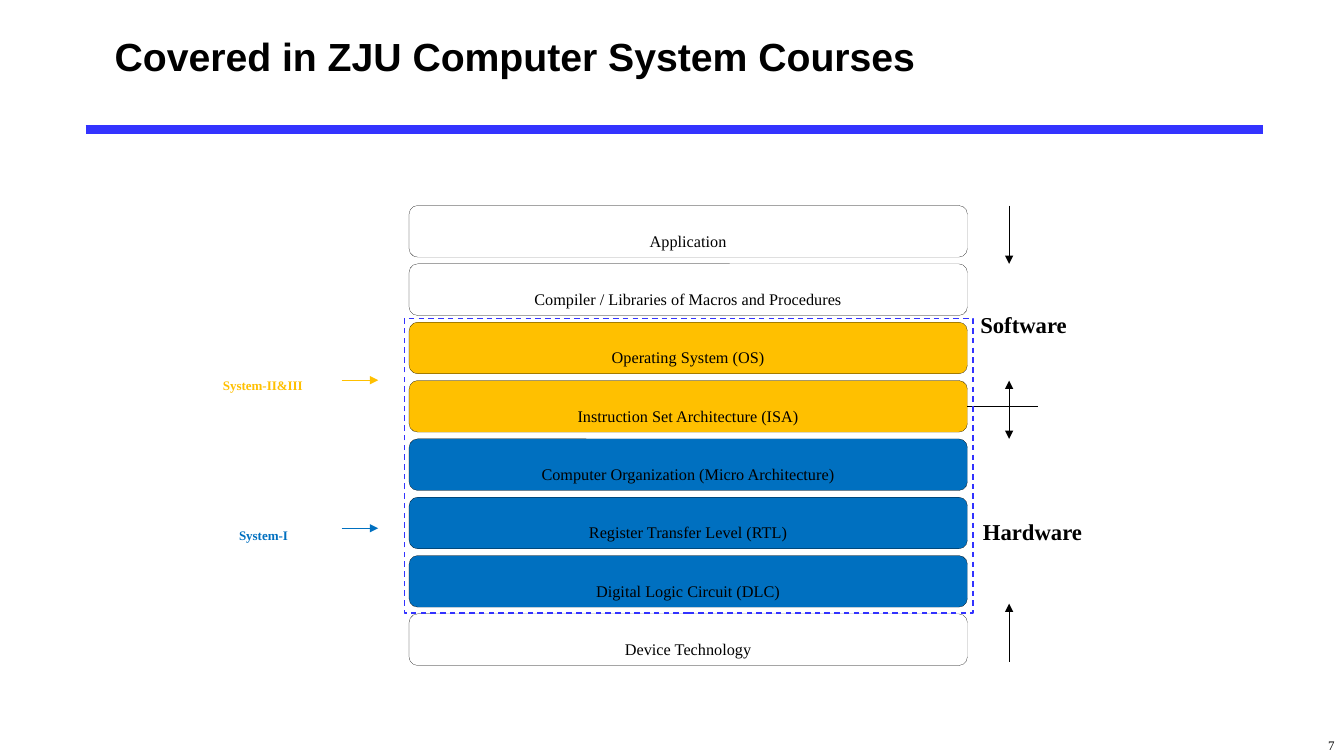
from lxml import etree
from pptx import Presentation
from pptx.dml.color import RGBColor
from pptx.enum.dml import MSO_LINE
from pptx.enum.shapes import MSO_CONNECTOR, MSO_SHAPE
from pptx.enum.text import MSO_ANCHOR, PP_ALIGN
from pptx.oxml.ns import qn
from pptx.util import Cm, Pt

STRAIGHT = MSO_CONNECTOR.STRAIGHT
RECTANGLE, ROUNDED = MSO_SHAPE.RECTANGLE, MSO_SHAPE.ROUNDED_RECTANGLE
LEFT, CENTER, RIGHT = PP_ALIGN.LEFT, PP_ALIGN.CENTER, PP_ALIGN.RIGHT
MIDDLE, TOP = MSO_ANCHOR.MIDDLE, MSO_ANCHOR.TOP
DASH = MSO_LINE.DASH
SERIF = "Times New Roman"
COLORS = {
    "black": "000000",
    "white": "FFFFFF",
    "rule": "3333FF",
    "gold": "FFC000",
    "blue": "0070C0",
}


def write(shape, text, size, color="black", bold=False, align=CENTER,
          anchor=MIDDLE, font=SERIF, lowered=True):
    """Put one formatted line in a shape; lowered text is a subscript."""
    frame = shape.text_frame
    frame.word_wrap = True
    frame.vertical_anchor = anchor
    frame.text = text
    paragraph = frame.paragraphs[0]
    paragraph.alignment = align
    run = paragraph.runs[0]
    run.font.name = font
    run.font.size = Pt(size)
    run.font.bold = bold
    run.font.color.rgb = RGBColor.from_string(COLORS[color])
    if lowered:
        run.font._element.set("baseline", "-25000")


def add_line(x1, y1, x2, y2, color="black", width=0.75, heads=()):
    """Draw a line in cm; heads may hold headEnd (start) and tailEnd (end)."""
    line = slide.shapes.add_connector(STRAIGHT, Cm(x1), Cm(y1), Cm(x2), Cm(y2))
    line.line.color.rgb = RGBColor.from_string(COLORS[color])
    line.line.width = Pt(width)
    outline = line.line._get_or_add_ln()
    for head in heads:
        etree.SubElement(outline, qn("a:" + head), type="triangle")
    etree.SubElement(line._element.spPr, qn("a:effectLst"))
    return line


presentation = Presentation()
presentation.slide_width = Cm(33.87)
presentation.slide_height = Cm(19.05)
slide = presentation.slides.add_slide(presentation.slide_layouts[6])

# Title, rule and page number
add_line(2.16, 3.26, 31.83, 3.26, "rule", 6)
page_number = slide.shapes.add_textbox(Cm(26.77), Cm(18.08), Cm(7.11), Cm(0.97))
write(page_number, "7", 16, align=RIGHT, anchor=TOP)
title = slide.shapes.add_textbox(Cm(2.64), Cm(0), Cm(28.78), Cm(2.84))
write(title, "Covered in ZJU Computer System Courses", 28, bold=True,
      align=LEFT, font="Arial", lowered=False)

# Stack of system layers
LAYERS = [
    ("Application", "white"),
    ("Compiler / Libraries of Macros and Procedures", "white"),
    ("Operating System (OS)", "gold"),
    ("Instruction Set Architecture (ISA)", "gold"),
    ("Computer Organization (Micro Architecture)", "blue"),
    ("Register Transfer Level (RTL)", "blue"),
    ("Digital Logic Circuit (DLC)", "blue"),
    ("Device Technology", "white"),
]
STACK_LEFT, STACK_TOP, LAYER_WIDTH, LAYER_HEIGHT, PITCH = 10.31, 5.18, 14.07, 1.3, 1.47
ISA_INDEX = 3
layer_shapes = []
for index, (name, fill) in enumerate(LAYERS):
    layer = slide.shapes.add_shape(
        ROUNDED, Cm(STACK_LEFT), Cm(STACK_TOP + index * PITCH),
        Cm(LAYER_WIDTH), Cm(LAYER_HEIGHT))
    layer.shadow.inherit = False
    layer.fill.solid()
    layer.fill.fore_color.rgb = RGBColor.from_string(COLORS[fill])
    layer.line.color.rgb = RGBColor.from_string(COLORS["black"])
    layer.line.width = Pt(0.13)
    write(layer, name, 20)
    layer_shapes.append(layer)

# Boundary between software and hardware
isa_top = STACK_TOP + ISA_INDEX * PITCH
isa_middle = isa_top + LAYER_HEIGHT / 2
boundary = add_line(STACK_LEFT + LAYER_WIDTH, isa_middle, 26.16, isa_middle)
boundary.begin_connect(layer_shapes[ISA_INDEX], 3)

ARROW_X = 25.43
for top, heads in [
    (STACK_TOP, ["tailEnd"]),
    (isa_top, ["headEnd", "tailEnd"]),
    (15.21, ["headEnd"]),
]:
    add_line(ARROW_X, top, ARROW_X, top + PITCH, heads=heads)

for name, top, width in [("Software", 7.32, 3.33), ("Hardware", 12.55, 3.78)]:
    label = slide.shapes.add_textbox(Cm(24.13), Cm(top), Cm(width), Cm(1.04))
    write(label, name, 28, bold=True)

# Layers taught in the courses
covered = slide.shapes.add_shape(RECTANGLE, Cm(10.19), Cm(8.03), Cm(14.33), Cm(7.42))
covered.shadow.inherit = False
covered.fill.background()
covered.line.color.rgb = RGBColor.from_string(COLORS["rule"])
covered.line.width = Pt(1)
covered.line.dash_style = DASH

for course, color, left, top, width, height, arrow_y in [
    ("System-II&III", "gold", 4.39, 8.86, 4.47, 1.3, 9.58),
    ("System-I", "blue", 4.06, 12.6, 5.16, 1.4, 13.31),
]:
    label = slide.shapes.add_textbox(Cm(left), Cm(top), Cm(width), Cm(height))
    write(label, course, 16, color, bold=True)
    add_line(8.61, arrow_y, 9.53, arrow_y, color, heads=["tailEnd"])

presentation.save("out.pptx")
